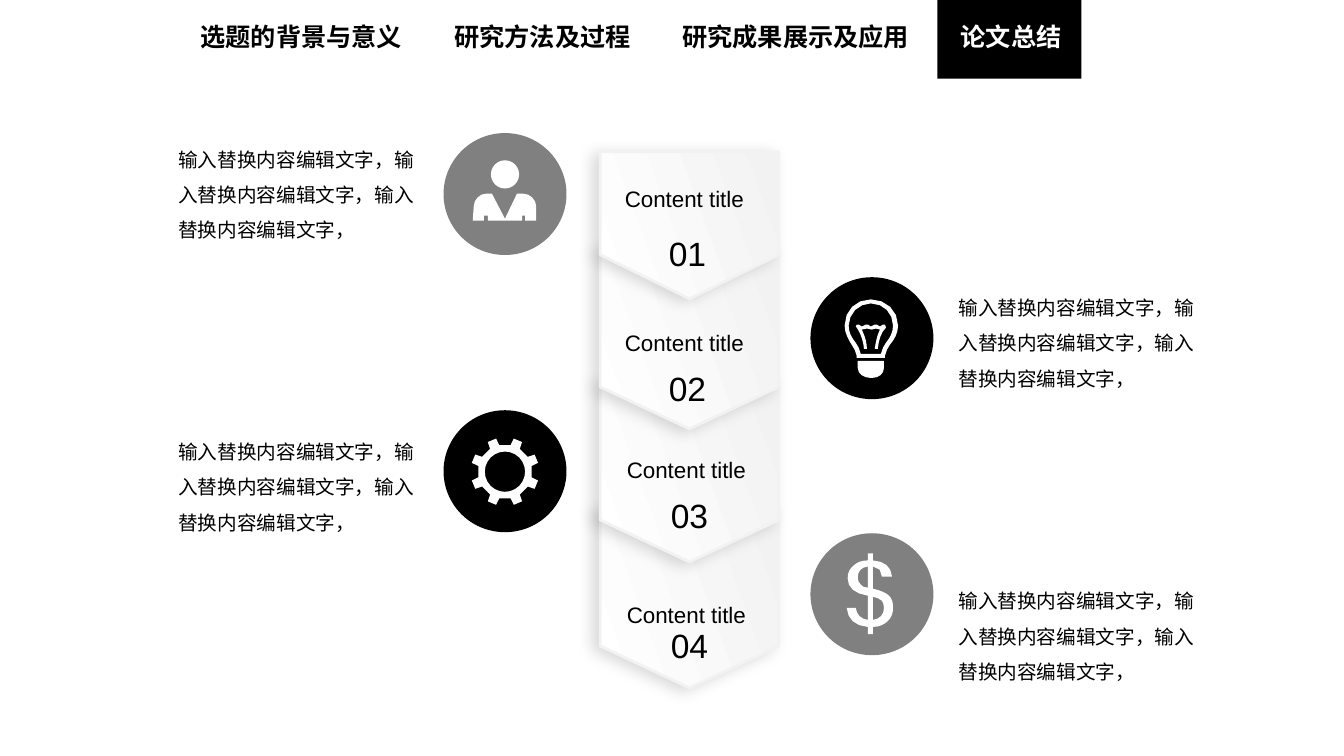
from dataclasses import dataclass
from math import cos, radians, sin

from lxml import etree
from pptx import Presentation
from pptx.dml.color import RGBColor
from pptx.enum.shapes import MSO_SHAPE
from pptx.enum.text import MSO_ANCHOR, MSO_AUTO_SIZE, PP_ALIGN
from pptx.oxml import parse_xml
from pptx.oxml.ns import nsdecls, qn
from pptx.util import Inches, Pt


@dataclass(frozen=True)
class Theme:
    """Colours, fonts and type sizes of the slide."""
    black: RGBColor = RGBColor(0, 0, 0)
    gray: RGBColor = RGBColor(0x80, 0x80, 0x80)
    pale: RGBColor = RGBColor(0xF2, 0xF2, 0xF2)
    white: RGBColor = RGBColor(0xFF, 0xFF, 0xFF)
    latin: str = "Arial"
    chinese: str = "Noto Sans CJK SC"
    tab: int = 18
    number: int = 24
    heading: int = 16
    body: int = 14


def trace(outline):
    """Turn points (x, y) and curves (x1, y1, x2, y2, x, y) into points."""
    points = [outline[0]]
    for step in outline[1:]:
        if len(step) == 2:
            points.append(step)
            continue
        corners = (points[-1], step[:2], step[2:4], step[4:])
        reach = max(abs(step[4] - points[-1][0]), abs(step[5] - points[-1][1]))
        pieces = 4 if reach > 0.1 else 2 if reach > 0.04 else 1
        for t in (i / pieces for i in range(1, pieces + 1)):
            weights = ((1 - t) ** 3, 3 * t * (1 - t) ** 2, 3 * t * t * (1 - t), t ** 3)
            points.append(tuple(sum(w * c[axis] for w, c in zip(weights, corners))
                                for axis in (0, 1)))
    return points


def polar(center, radius, degrees):
    """Give the point at an angle on a circle."""
    return (center[0] + radius * cos(radians(degrees)),
            center[1] + radius * sin(radians(degrees)))


class SlideBuilder:
    """Draw styled elements on one slide."""

    def __init__(self, slide, theme):
        self.slide = slide
        self.shapes = slide.shapes
        self.theme = theme

    def format_text(self, box, text, size, color, font, bold=False,
                    align=PP_ALIGN.LEFT, wrap=True, spacing=None):
        frame = box.text_frame
        frame.text = text
        frame.word_wrap = wrap
        frame.auto_size = MSO_AUTO_SIZE.SHAPE_TO_FIT_TEXT
        frame.vertical_anchor = MSO_ANCHOR.TOP
        paragraph = frame.paragraphs[0]
        paragraph.alignment = align
        if spacing:
            paragraph.line_spacing = spacing
        paragraph.font.size = Pt(size)
        paragraph.font.bold = bold
        paragraph.font.name = font
        paragraph.font.color.rgb = color
        east_asian = etree.SubElement(paragraph.font._rPr, qn("a:ea"))
        east_asian.set("typeface", font)

    def text(self, left, top, width, height, text, size, font, **style):
        box = self.shapes.add_textbox(*map(Inches, (left, top, width, height)))
        self.format_text(box, text, size, self.theme.black, font, **style)

    def title(self, left, top, width, height, text):
        heading = self.shapes.title
        heading.left, heading.top, heading.width, heading.height = map(
            Inches, (left, top, width, height))
        self.format_text(heading, text, self.theme.tab, self.theme.white,
                         self.theme.chinese, bold=True, wrap=False)
        self.shapes._spTree.append(heading._element)

    def solid(self, kind, left, top, width, height, color):
        shape = self.shapes.add_shape(kind, *map(Inches, (left, top, width, height)))
        self.paint(shape, color)

    def paint(self, shape, color):
        shape.shadow.inherit = False
        shape.fill.solid()
        shape.fill.fore_color.rgb = color
        shape.line.fill.background()

    def icon(self, *outlines):
        contours = [[(Inches(x), Inches(y)) for x, y in trace(o)] for o in outlines]
        builder = self.shapes.build_freeform(*contours[0][0], scale=1.0)
        builder.add_line_segments(contours[0][1:])
        for contour in contours[1:]:
            builder.move_to(*contour[0])
            builder.add_line_segments(contour[1:])
        self.paint(builder.convert_to_shape(), self.theme.white)

    def plate(self, left, top, length, breadth, point):
        plate = self.shapes.add_shape(
            MSO_SHAPE.PENTAGON, *map(Inches, (left, top, length, breadth)))
        plate.rotation = 90
        plate.adjustments[0] = point
        plate.fill.gradient()
        plate.fill.gradient_angle = 110
        for stop, color, position in zip(plate.fill.gradient_stops,
                                         (self.theme.white, self.theme.pale), (0, 1)):
            stop.color.rgb = color
            stop.position = position
        plate.line.color.rgb = self.theme.pale
        plate.line.width = Pt(2)
        plate._element.spPr.append(parse_xml(
            f'<a:effectLst {nsdecls("a")}><a:outerShdw blurRad="139700" dist="63500" '
            'dir="9600000" algn="ctr" rotWithShape="0"><a:srgbClr val="000000">'
            '<a:alpha val="15000"/></a:srgbClr></a:outerShdw></a:effectLst>'))


def draw_person(page):
    """Draw the head and shoulders."""
    page.solid(MSO_SHAPE.OVAL, 4.87, 1.59, 0.28, 0.28, page.theme.white)
    page.icon([(4.8, 2.19), (4.8, 2.14), (4.84, 2.14), (4.84, 2.19), (5.18, 2.19),
               (5.18, 2.14), (5.21, 2.14), (5.21, 2.19), (5.32, 2.19), (5.32, 2.05),
               (5.32, 1.98, 5.26, 1.92, 5.18, 1.92), (5.13, 1.92), (5.01, 2.17),
               (4.88, 1.92), (4.83, 1.92), (4.76, 1.92, 4.7, 1.98, 4.7, 2.05),
               (4.69, 2.19)])


def draw_bulb(page):
    """Draw the glass, socket and filament of the bulb."""
    page.icon(
        [(8.5, 3.55), (8.5, 3.53), (8.48, 3.47), (8.45, 3.42),
         (8.42, 3.37, 8.38, 3.31, 8.38, 3.23), (8.38, 3.08, 8.49, 2.97, 8.64, 2.97),
         (8.79, 2.97, 8.91, 3.08, 8.91, 3.23), (8.91, 3.31, 8.87, 3.37, 8.83, 3.42),
         (8.8, 3.47), (8.78, 3.53), (8.78, 3.55)],
        [(8.54, 3.51), (8.74, 3.51), (8.76, 3.45), (8.79, 3.4),
         (8.83, 3.35, 8.86, 3.3, 8.86, 3.23), (8.86, 3.11, 8.77, 3.01, 8.64, 3.01),
         (8.52, 3.01, 8.42, 3.11, 8.42, 3.23), (8.42, 3.3, 8.45, 3.35, 8.49, 3.4),
         (8.52, 3.45), (8.54, 3.51)])
    page.icon([(8.51, 3.58), (8.51, 3.65), (8.51, 3.71, 8.57, 3.75, 8.64, 3.75),
               (8.65, 3.75), (8.72, 3.75, 8.77, 3.71, 8.77, 3.65), (8.77, 3.58)])
    page.icon([(8.79, 3.25), (8.74, 3.3, 8.72, 3.37, 8.71, 3.45), (8.71, 3.46),
               (8.68, 3.46), (8.68, 3.45), (8.69, 3.39, 8.7, 3.33, 8.73, 3.27),
               (8.69, 3.26), (8.65, 3.27), (8.6, 3.26), (8.55, 3.27),
               (8.59, 3.35, 8.6, 3.42, 8.6, 3.45), (8.6, 3.46), (8.57, 3.46),
               (8.57, 3.45), (8.57, 3.42, 8.55, 3.32, 8.5, 3.25), (8.49, 3.24),
               (8.5, 3.22), (8.52, 3.22), (8.55, 3.24), (8.59, 3.22), (8.61, 3.22),
               (8.64, 3.24), (8.68, 3.22), (8.7, 3.22), (8.73, 3.24), (8.76, 3.22),
               (8.78, 3.22)])


def draw_gear(page):
    """Draw a ring with eight teeth."""
    hub = (5.01, 4.68)
    tooth = ((0.27, -10.5), (0.34, -7.5), (0.34, 7.5), (0.27, 10.5))
    page.icon([polar(hub, radius, 22.5 + 45 * k + turn)
               for k in range(8) for radius, turn in tooth],
              [polar(hub, 0.2, -15 * k) for k in range(24)])


def draw_dollar(page):
    """Draw the dollar sign."""
    page.icon(
        [(8.66, 5.84), (8.74, 5.86, 8.79, 5.88, 8.82, 5.91),
         (8.85, 5.94, 8.86, 5.97, 8.86, 6.03), (8.86, 6.08, 8.85, 6.12, 8.81, 6.16),
         (8.78, 6.19, 8.73, 6.22, 8.66, 6.22), (8.66, 6.29), (8.61, 6.29), (8.61, 6.22),
         (8.48, 6.21, 8.41, 6.14, 8.4, 6.03), (8.49, 6.03),
         (8.5, 6.1, 8.54, 6.14, 8.61, 6.15), (8.61, 5.91),
         (8.48, 5.89, 8.41, 5.83, 8.41, 5.74), (8.41, 5.68, 8.43, 5.64, 8.47, 5.61),
         (8.5, 5.58, 8.55, 5.56, 8.61, 5.56), (8.61, 5.49), (8.66, 5.49), (8.66, 5.56),
         (8.78, 5.57, 8.84, 5.62, 8.85, 5.72), (8.75, 5.72),
         (8.75, 5.66, 8.72, 5.63, 8.66, 5.62)],
        [(8.61, 5.83), (8.61, 5.62), (8.54, 5.63, 8.51, 5.67, 8.51, 5.73),
         (8.51, 5.76, 8.52, 5.78, 8.54, 5.8), (8.55, 5.82, 8.58, 5.83, 8.61, 5.83)],
        [(8.66, 6.15), (8.73, 6.14, 8.77, 6.1, 8.77, 6.03),
         (8.77, 6, 8.76, 5.97, 8.75, 5.96), (8.73, 5.94, 8.7, 5.93, 8.66, 5.92)])


def main():
    """Build and save the slide."""
    deck = Presentation()
    deck.slide_width, deck.slide_height = Inches(40 / 3), Inches(7.5)
    theme = Theme()
    page = SlideBuilder(deck.slides.add_slide(deck.slide_layouts[5]), theme)

    page.solid(MSO_SHAPE.RECTANGLE, 9.3, -0.01, 1.43, 0.79, theme.black)
    for left, width, topic in ((1.89, 2.24, "选题的背景与意义"), (4.41, 1.97, "研究方法及过程"),
                               (6.67, 2.47, "研究成果展示及应用")):
        page.text(left, 0.16, width, 0.4, topic, theme.tab, theme.chinese,
                  bold=True, wrap=False)
    page.title(9.43, 0.16, 1.21, 0.4, "论文总结")

    for left, top, length, point in ((5.95, 5.05, 1.78, 0.235), (5.95, 3.8, 1.78, 0.235),
                                     (5.95, 2.48, 1.78, 0.235), (6.11, 1.35, 1.46, 0.299)):
        page.plate(left, top, length, 1.77, point)

    steps = ((4.4, 1.32, theme.gray, draw_person, 6.1, 1.79, 2.26, 1.67, 1.3),
             (8.04, 2.75, theme.black, draw_bulb, 6.1, 3.22, 3.6, 9.41, 2.77),
             (4.4, 4.07, theme.black, draw_gear, 6.12, 4.48, 4.86, 1.67, 4.2),
             (8.04, 5.29, theme.gray, draw_dollar, 6.12, 5.91, 6.15, 9.41, 5.68))
    for number, (disc_left, disc_top, color, draw_icon, heading_left, heading_top,
                 number_top, body_left, body_top) in enumerate(steps, 1):
        page.solid(MSO_SHAPE.OVAL, disc_left, disc_top, 1.22, 1.21, color)
        draw_icon(page)
        page.text(heading_left + 0.38, number_top, 0.68, 0.5, f"{number:02}",
                  theme.number, theme.latin, align=PP_ALIGN.CENTER)
        page.text(heading_left, heading_top, 1.4, 0.37, "Content title",
                  theme.heading, theme.latin, wrap=False)
        page.text(body_left, body_top, 2.63, 1.16, "输入替换内容编辑文字，" * 3,
                  theme.body, theme.chinese, spacing=1.5)

    deck.save("out.pptx")


if __name__ == "__main__":
    main()
